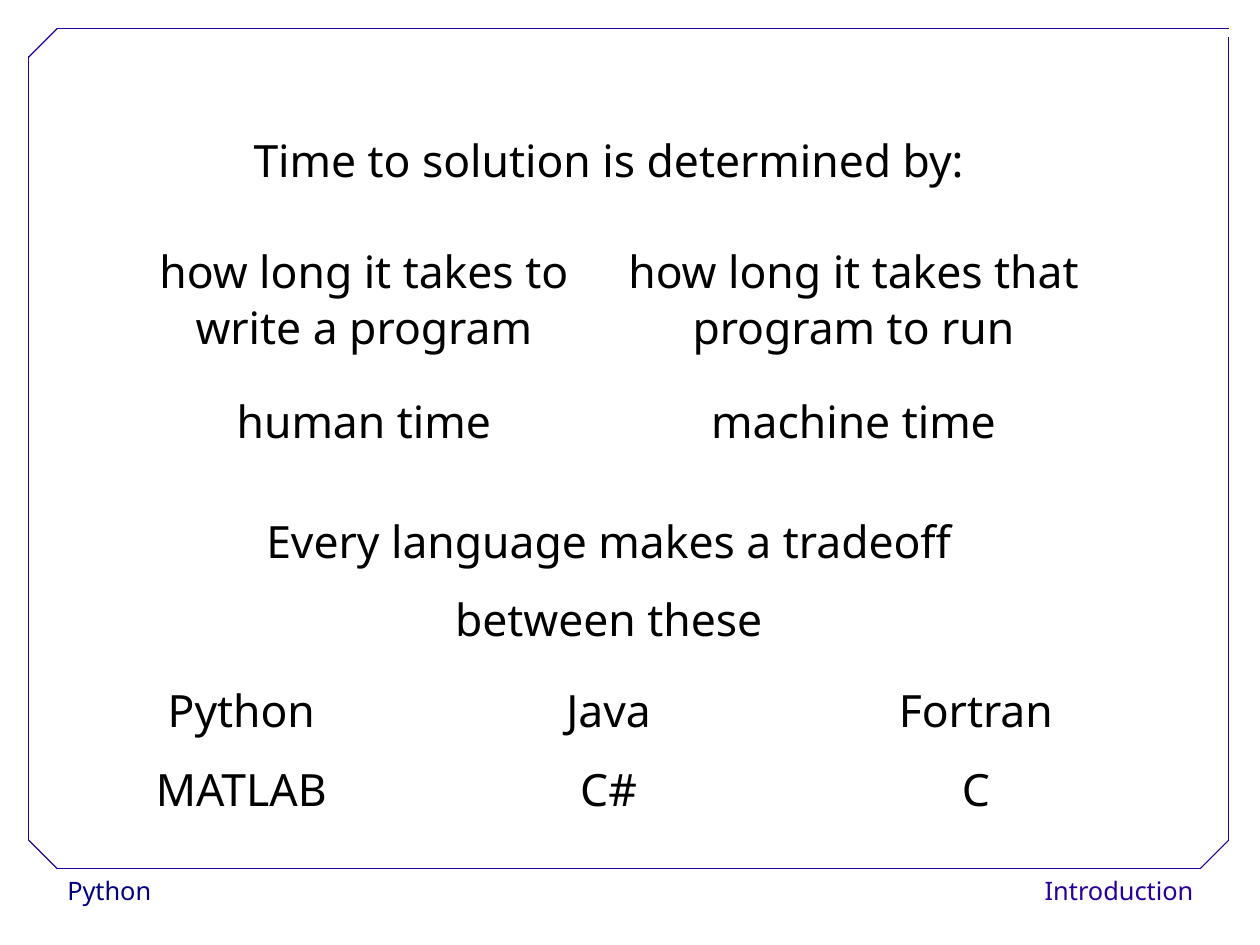
from dataclasses import dataclass

from lxml.etree import SubElement
from pptx import Presentation
from pptx.dml.color import RGBColor
from pptx.enum.shapes import MSO_CONNECTOR, MSO_SHAPE
from pptx.enum.text import MSO_ANCHOR, PP_ALIGN
from pptx.oxml.ns import qn
from pptx.slide import Slide
from pptx.table import Table
from pptx.text.text import TextFrame
from pptx.util import Inches, Pt

COLORS = {"paper": "FFFFFF", "text": "000000", "navy": "000080", "frame": "280099"}
FONT = "Noto Sans"
CENTIMETRES_PER_INCH = 2.54


@dataclass(frozen=True)
class Footer:
    text: str
    left: float
    width: float
    color: str
    align: PP_ALIGN


@dataclass(frozen=True)
class Edge:
    start: tuple[float, float]
    end: tuple[float, float]


@dataclass(frozen=True)
class Entry:
    row: int
    column: int
    span: int
    text: str


FOOTERS = [
    Footer("Python", 0.49, 2.15, "navy", PP_ALIGN.LEFT),
    Footer("Introduction", 9.14, 1.4, "frame", PP_ALIGN.RIGHT),
]
EDGES = [
    Edge((0.5, 7.6), (10.5, 7.6)),
    Edge((0.25, 7.35), (0.25, 0.49)),
    Edge((0.5, 0.25), (10.75, 0.25)),
    Edge((10.75, 7.35), (10.75, 0.32)),
    Edge((0.25, 0.5), (0.5, 0.25)),
    Edge((10.5, 7.6), (10.75, 7.35)),
    Edge((0.25, 7.35), (0.5, 7.6)),
]
ROW_HEIGHTS = [0.97, 1.31, 1.05, 1.48, 1.28]
COLUMN_COUNT = 4
ENTRIES = [
    Entry(0, 0, 4, "Time to solution is determined by:"),
    Entry(1, 0, 2, "how long it takes to write a program"),
    Entry(1, 2, 2, "how long it takes that program to run"),
    Entry(2, 0, 2, "human time"),
    Entry(2, 2, 2, "machine time"),
    Entry(3, 0, 4, "Every language makes a tradeoff\nbetween these"),
    Entry(4, 0, 1, "Python\nMATLAB"),
    Entry(4, 1, 2, "Java\nC#"),
    Entry(4, 3, 1, "Fortran\nC"),
]


def color(name: str) -> RGBColor:
    return RGBColor.from_string(COLORS[name])


def style_text(frame: TextFrame, size: int, color_name: str, align: PP_ALIGN,
               line_spacing: float, space_after: float = 0) -> None:
    for paragraph in frame.paragraphs:
        paragraph.alignment = align
        paragraph.line_spacing = line_spacing
        paragraph.space_after = Pt(space_after)
        for span in paragraph.runs:
            span.font.name = FONT
            span.font.size = Pt(size)
            span.font.color.rgb = color(color_name)


def draw_footer(page: Slide, footer: Footer) -> None:
    box = page.shapes.add_shape(
        MSO_SHAPE.RECTANGLE,
        Inches(footer.left), Inches(7.6), Inches(footer.width), Inches(0.4))
    box.shadow.inherit = False
    box.fill.solid()
    box.fill.fore_color.rgb = color("paper")
    box.line.fill.background()
    frame = box.text_frame
    frame.word_wrap = False
    frame.vertical_anchor = MSO_ANCHOR.TOP
    frame.text = footer.text
    style_text(frame, 16, footer.color, footer.align, 1.02)


def draw_edge(page: Slide, edge: Edge) -> None:
    line = page.shapes.add_connector(
        MSO_CONNECTOR.STRAIGHT, *map(Inches, edge.start + edge.end))
    line.line.color.rgb = color("frame")
    line.line.width = Pt(0.75)
    SubElement(line._element.spPr, qn("a:effectLst"))


def add_grid(page: Slide) -> Table:
    grid = page.shapes.add_table(
        len(ROW_HEIGHTS), COLUMN_COUNT,
        Inches(1.04), Inches(1.11), Inches(8.57), Inches(sum(ROW_HEIGHTS))).table
    grid.first_row = False
    grid.horz_banding = False
    for row, height in zip(grid.rows, ROW_HEIGHTS):
        row.height = Inches(height)
    for cell in grid.iter_cells():
        cell.fill.background()
    return grid


def fill_entry(grid: Table, entry: Entry) -> None:
    cell = grid.cell(entry.row, entry.column)
    if entry.span > 1:
        cell.merge(grid.cell(entry.row, entry.column + entry.span - 1))
    cell.text_frame.text = entry.text
    style_text(cell.text_frame, 28, "text", PP_ALIGN.CENTER, 0.93, 14.3)


def main() -> None:
    deck = Presentation()
    deck.slide_width = Inches(28 / CENTIMETRES_PER_INCH)
    deck.slide_height = Inches(21 / CENTIMETRES_PER_INCH)
    page = deck.slides.add_slide(deck.slide_layouts[6])
    page.background.fill.solid()
    page.background.fill.fore_color.rgb = color("paper")
    for footer in FOOTERS:
        draw_footer(page, footer)
    for edge in EDGES:
        draw_edge(page, edge)
    grid = add_grid(page)
    for entry in ENTRIES:
        fill_entry(grid, entry)
    deck.save("out.pptx")


if __name__ == "__main__":
    main()
